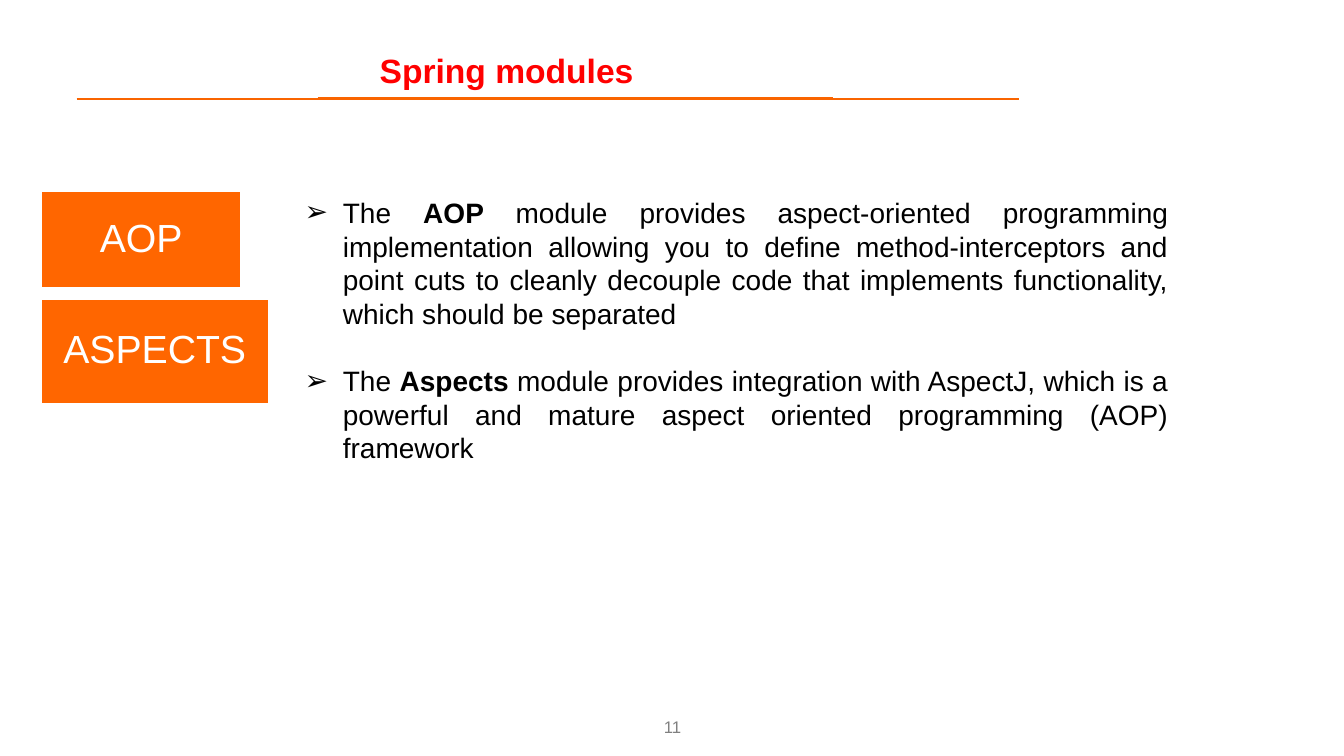
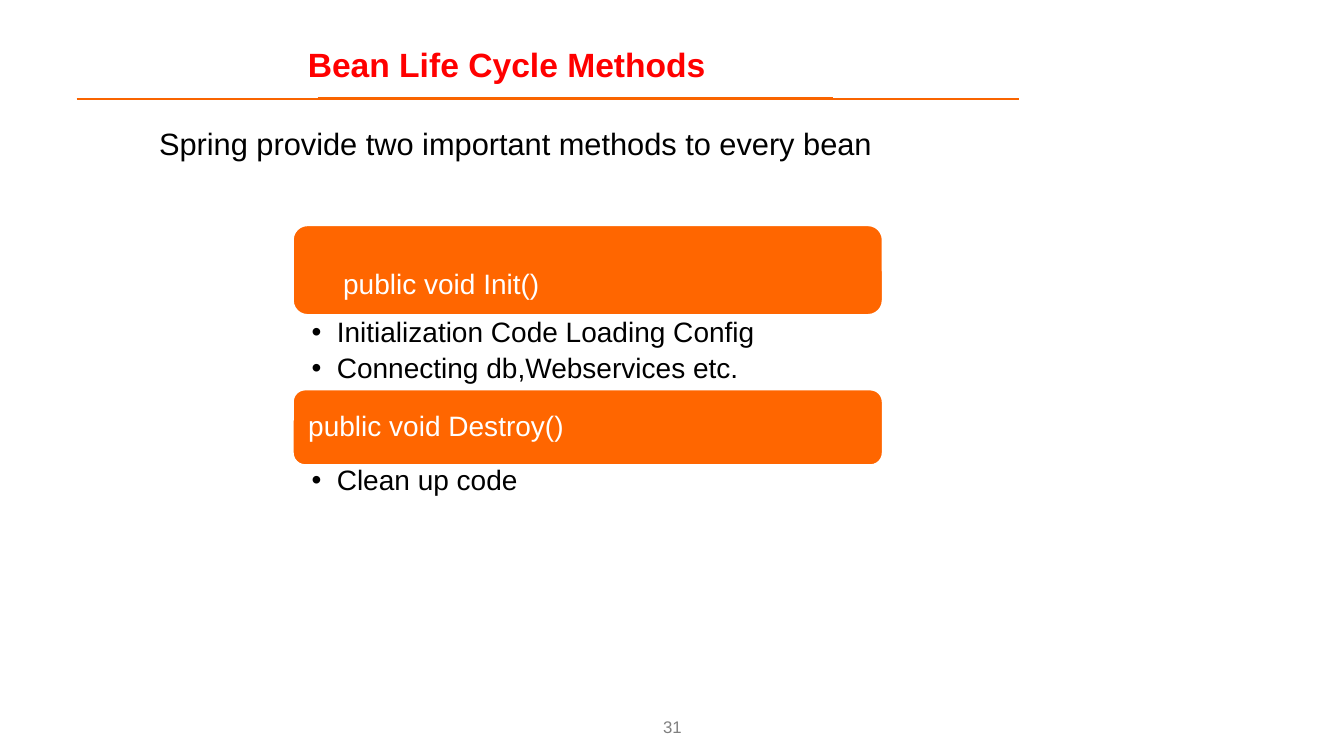
from lxml.etree import SubElement
from pptx import Presentation
from pptx.dml.color import RGBColor
from pptx.enum.shapes import MSO_CONNECTOR as Connector, MSO_SHAPE as Shape
from pptx.enum.text import MSO_ANCHOR as Anchor, MSO_AUTO_SIZE as AutoSize, PP_ALIGN as Align
from pptx.oxml.ns import qn
from pptx.util import Emu, Pt

PX = 9144  # 100 px to the inch
FONT = "Arial"
COLORS = {
    "title": "FF0000",
    "rule": "F96400",
    "box": "FF6600",
    "light": "FFFFFF",
    "text": "000000",
    "number": "808080",
}

# left, right, width in points
TITLE_RULES = [(76, 1011, 1.5), (315, 826, 2.25)]
RULE_TOP = 98

MODULES = {
    "title": "Spring modules",
    "title_top": 52,
    "number": "11",
    # name, left, top, width, height
    "boxes": [("AOP", 40, 189, 200, 97), ("ASPECTS", 40, 296, 227, 105)],
    # runs: text, bold
    "points": [
        [
            ("The ", False),
            ("AOP ", True),
            ("module provides aspect-oriented programming implementation allowing you "
             "to define method-interceptors and point cuts to cleanly decouple code that "
             "implements functionality, which should be separated", False),
        ],
        [
            ("The ", False),
            ("Aspects ", True),
            ("module provides integration with AspectJ, which is a powerful and mature "
             "aspect oriented programming (AOP) framework", False),
        ],
    ],
}

LIFE_CYCLE = {
    "title": "Bean Life Cycle Methods",
    "title_top": 46,
    "number": "31",
    "intro": "Spring provide two important methods to every bean",
    "methods": [
        {"name": "public void Init()", "bar": (223, 90), "insets": (46, 30, 8, 0),
         "list": (313, 71),
         "points": ["Initialization Code Loading Config", "Connecting db,Webservices etc."]},
        {"name": "public void Destroy()", "bar": (386, 76), "insets": (12, 8, 8, 8),
         "list": (460, 65),
         "points": ["Clean up code"]},
    ],
}
METHOD_LEFT, METHOD_WIDTH = 290, 586


def px(length):
    return Emu(length * PX)


def color(name):
    return RGBColor.from_string(COLORS[name])


def place(shape, left, top, width, height):
    shape.left, shape.top = px(left), px(top)
    shape.width, shape.height = px(width), px(height)


def set_frame(shape, insets=(10, 5, 10, 5), anchor=Anchor.TOP):
    frame = shape.text_frame
    frame.word_wrap = True
    frame.auto_size = AutoSize.NONE
    frame.vertical_anchor = anchor
    (frame.margin_left, frame.margin_top,
     frame.margin_right, frame.margin_bottom) = map(px, insets)
    return frame


def add_run(paragraph, text, size, color_name="text", bold=False):
    run = paragraph.add_run()
    run.text = text
    font = run.font
    font.name, font.size, font.bold = FONT, Pt(size), bold
    font.color.rgb = color(color_name)


def write_line(frame, text, size, color_name="text", align=Align.LEFT, bold=False, spacing=1.0):
    """Fill the first paragraph of a frame with one run."""
    paragraph = frame.paragraphs[0]
    paragraph.alignment = align
    paragraph.line_spacing = spacing
    add_run(paragraph, text, size, color_name, bold)


def write_bullets(frame, points, mark, indent, gap, align=Align.LEFT, spacing=1.0):
    """Write each point, a list of (text, bold) runs, as a bulleted paragraph."""
    for index, runs in enumerate(points):
        paragraph = frame.add_paragraph() if index else frame.paragraphs[0]
        properties = paragraph._p.get_or_add_pPr()
        properties.set("marL", str(px(indent)))
        properties.set("indent", str(-px(indent)))
        SubElement(properties, qn("a:buFont")).set("typeface", FONT)
        SubElement(properties, qn("a:buChar")).set("char", mark)
        paragraph.alignment = align
        paragraph.line_spacing = spacing
        paragraph.space_before = Pt(gap if index else 0)
        for text, bold in runs:
            add_run(paragraph, text, 20, bold=bold)


def add_box(slide, kind, bounds, text, size, insets=(8, 8, 8, 8), align=Align.CENTER):
    box = slide.shapes.add_shape(kind, *map(px, bounds))
    box.shadow.inherit = False
    box.fill.solid()
    box.fill.fore_color.rgb = color("box")
    box.line.color.rgb = color("light")
    box.line.width = Pt(2)
    write_line(set_frame(box, insets, Anchor.MIDDLE), text, size, "light", align, spacing=0.9)


def add_text_box(slide, bounds, text, size, color_name="text", align=Align.LEFT):
    box = slide.shapes.add_textbox(*map(px, bounds))
    write_line(set_frame(box), text, size, color_name, align)


def start_slide(presentation, layout_index, content):
    """Add a slide with the shared title, title rules and page number."""
    slide = presentation.slides.add_slide(presentation.slide_layouts[layout_index])
    title = slide.shapes.title
    place(title, 63, content["title_top"], 879, 40)
    write_line(set_frame(title, anchor=Anchor.MIDDLE), content["title"], 24, "title",
               Align.CENTER, bold=True, spacing=0.9)
    for left, right, width in TITLE_RULES:
        rule = slide.shapes.add_connector(
            Connector.STRAIGHT, px(left), px(RULE_TOP), px(right), px(RULE_TOP))
        rule.line.color.rgb = color("rule")
        rule.line.width = Pt(width)
        SubElement(rule._element.spPr, qn("a:effectLst"))
    add_text_box(slide, (634, 706, 66, 30), content["number"], 12, "number", Align.CENTER)
    return slide


def build_modules(presentation):
    slide = start_slide(presentation, 1, MODULES)
    for name, *bounds in MODULES["boxes"]:
        add_box(slide, Shape.RECTANGLE, bounds, name, 28)
    body = slide.placeholders[1]
    place(body, 292, 189, 877, 279)
    write_bullets(set_frame(body), MODULES["points"], "➢", 38, 24, Align.JUSTIFY)


def build_life_cycle(presentation):
    slide = start_slide(presentation, 3, LIFE_CYCLE)
    add_text_box(slide, (148, 119, 917, 48), LIFE_CYCLE["intro"], 22)
    for index, method in enumerate(LIFE_CYCLE["methods"], start=1):
        top, height = method["bar"]
        add_box(slide, Shape.ROUNDED_RECTANGLE, (METHOD_LEFT, top, METHOD_WIDTH, height),
                method["name"], 20, method["insets"], Align.LEFT)
        body = slide.placeholders[index]
        top, height = method["list"]
        place(body, METHOD_LEFT, top, METHOD_WIDTH, height)
        points = [[(text, False)] for text in method["points"]]
        write_bullets(set_frame(body, (19, 3, 16, 3)), points, "•", 25, 4, spacing=0.9)


def main():
    presentation = Presentation()
    presentation.slide_width, presentation.slide_height = px(1333), px(750)
    build_modules(presentation)
    build_life_cycle(presentation)
    presentation.save("out.pptx")


if __name__ == "__main__":
    main()
